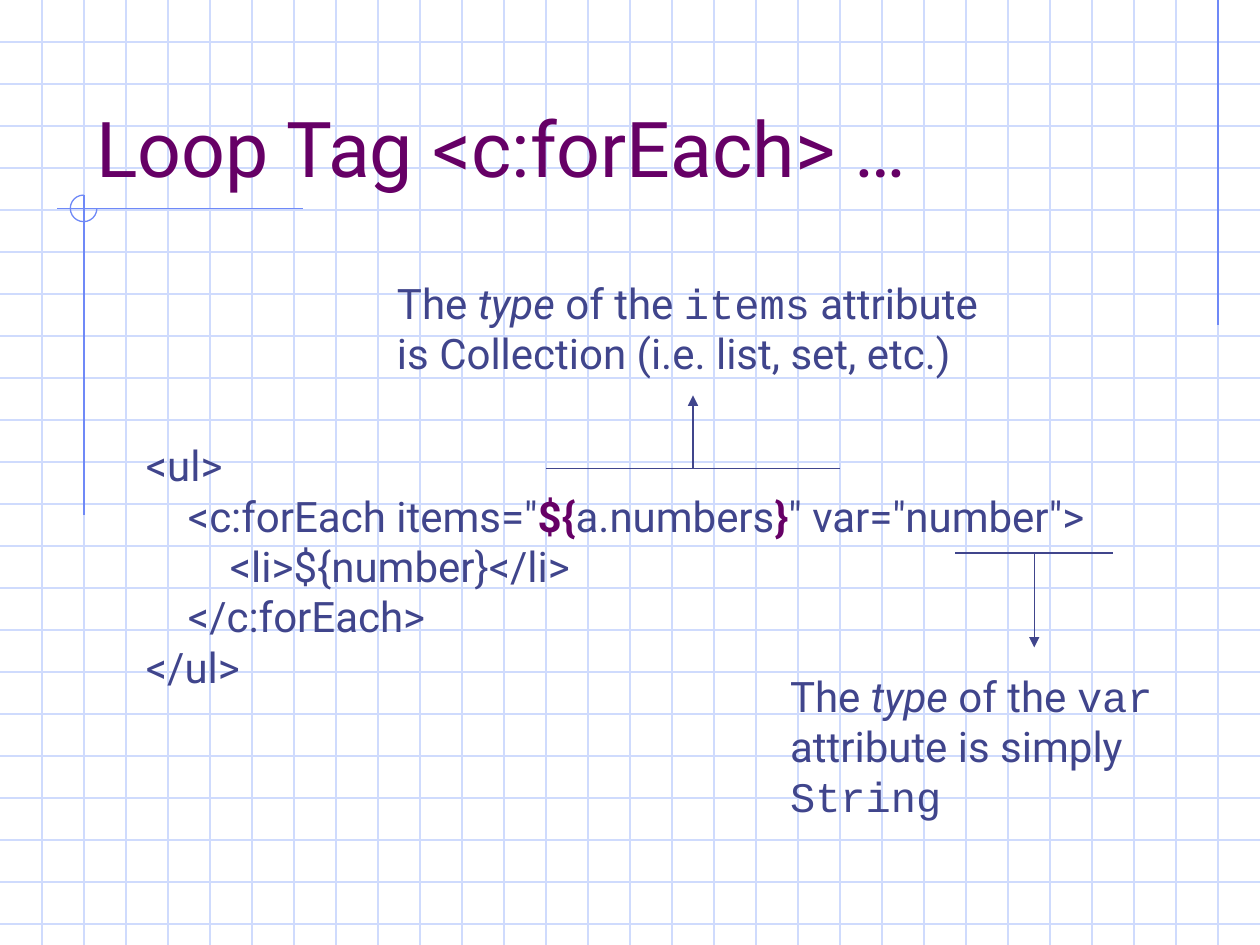
from typing import NamedTuple

from lxml.etree import SubElement as Sub
from pptx import Presentation
from pptx.dml.color import RGBColor as Rgb
from pptx.enum.shapes import MSO_CONNECTOR as Conn, MSO_SHAPE as Shape
from pptx.enum.text import MSO_ANCHOR as Anchor
from pptx.oxml.ns import qn
from pptx.util import Pt

COLORS = {"grid": "CFDBFD", "trim": "6F89F7", "title": "660066", "text": "40458C"}
WIDTH, HEIGHT, STEP = 720, 540, 24
SANS, MONO = "Roboto", "Courier New"


class Run(NamedTuple):
    text: str
    font: str = SANS
    color: str = ""
    bold: bool = False
    slant: bool = False


class Line(NamedTuple):
    runs: list[Run]
    level: int = 0


class Box(NamedTuple):
    left: float
    top: float
    width: float
    height: float


class Rule(NamedTuple):
    x1: float
    y1: float
    x2: float
    y2: float
    color: str = "text"
    arrow: bool = False


def write(slide, box: Box, lines: list[Line], *, size: float = 24,
          color: str = "text", anchor=Anchor.TOP) -> None:
    """Add a text box; each level of a line indents it by one grid step."""
    frame = slide.shapes.add_textbox(*map(Pt, box)).text_frame
    frame.word_wrap = True
    frame.vertical_anchor = anchor
    for i, line in enumerate(lines):
        para = frame.add_paragraph() if i else frame.paragraphs[0]
        if line.level:
            para._p.get_or_add_pPr().set("marL", str(Pt(line.level * STEP)))
        for run in line.runs:
            part = para.add_run()
            part.text = run.text
            font = part.font
            font.name, font.size = run.font, Pt(size)
            font.bold, font.italic = run.bold, run.slant
            font.color.rgb = Rgb.from_string(COLORS[run.color or color])


def draw(slide, rule: Rule) -> None:
    ends = map(Pt, rule[:4])
    conn = slide.shapes.add_connector(Conn.STRAIGHT, *ends)
    conn.line.width = Pt(0.75)
    conn.line.color.rgb = Rgb.from_string(COLORS[rule.color])
    props = conn._element.spPr
    if rule.arrow:
        Sub(props.find(qn("a:ln")), qn("a:tailEnd"), type="triangle")
    Sub(props, qn("a:effectLst"))


def draw_arc(slide, box: Box) -> None:
    """Draw three quarters of a circle, open at the top right."""
    arc = slide.shapes.add_shape(Shape.ARC, *map(Pt, box))
    arc.adjustments[0] = 0
    arc.adjustments[1] = 162  # 270 degrees, in units of 100000/60000
    arc.shadow.inherit = False
    arc.fill.background()
    arc.line.width = Pt(0.75)
    arc.line.color.rgb = Rgb.from_string(COLORS["trim"])


def draw_grid(slide) -> None:
    for y in range(STEP, HEIGHT, STEP):
        draw(slide, Rule(0, y, WIDTH, y, "grid"))
    for x in range(STEP, WIDTH, STEP):
        draw(slide, Rule(x, 0, x, HEIGHT, "grid"))


TRIM = [
    Rule(696, 0, 696, 186, "trim"),
    Rule(173, 119.2, 32.5, 119.2, "trim"),
    Rule(48, 111.5, 48, 294.5, "trim"),
]
CODE = [
    Line([Run("<ul>")]),
    Line([Run('<c:forEach items="'), Run("${", color="title", bold=True),
          Run("a.numbers"), Run("}", color="title", bold=True),
          Run('" var="number">')], 1),
    Line([Run("<li>${number}</li>")], 2),
    Line([Run("</c:forEach>")], 1),
    Line([Run("</ul>")]),
]
LEAD = [Run("The "), Run("type", slant=True), Run(" of the ")]
ITEMS = [
    Line([*LEAD, Run("items", MONO), Run(" attribute")]),
    Line([Run("is Collection (i.e. list, set, etc.)")]),
]
VAR = [
    Line([*LEAD, Run("var", MONO)]),
    Line([Run("attribute is simply")]),
    Line([Run("String", MONO)]),
]
MARKS = [
    Rule(312, 267.8, 480, 267.8),
    Rule(396, 267.8, 396, 226, arrow=True),
    Rule(546, 316, 636, 316),
    Rule(591, 316, 591, 370, arrow=True),
]


def main() -> None:
    deck = Presentation()
    deck.slide_width, deck.slide_height = Pt(WIDTH), Pt(HEIGHT)
    slide = deck.slides.add_slide(deck.slide_layouts[6])
    draw_grid(slide)
    for rule in TRIM:
        draw(slide, rule)
    draw_arc(slide, Box(40.2, 111.5, 15.2, 15.2))
    write(slide, Box(48, 24, 612, 90), [Line([Run("Loop Tag <c:forEach> …")])],
          size=44, color="title", anchor=Anchor.BOTTOM)
    write(slide, Box(76.3, 247.7, 592, 151), CODE)
    write(slide, Box(219.8, 155, 363, 65), ITEMS)
    write(slide, Box(444.4, 379.4, 229, 94), VAR)
    for rule in MARKS:
        draw(slide, rule)
    deck.save("out.pptx")


if __name__ == "__main__":
    main()
